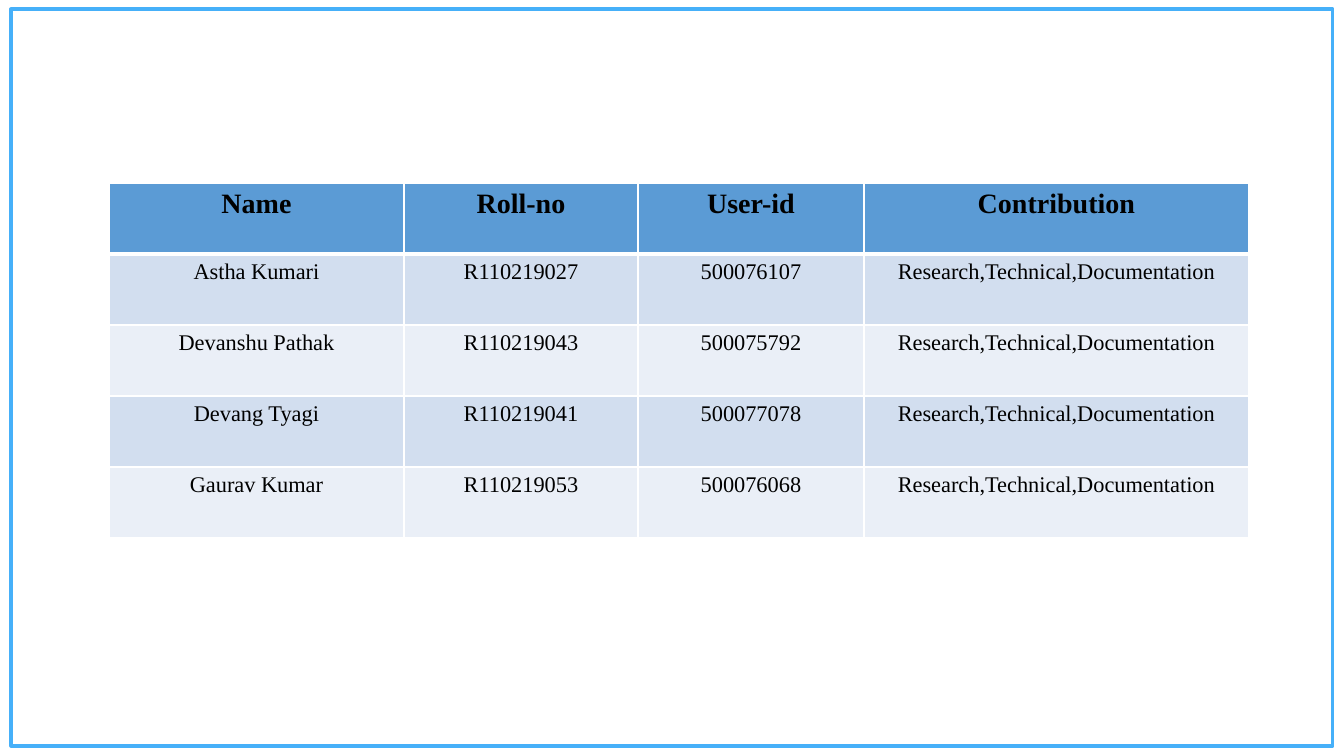
"""Build a slide with a framed table of team members and their contributions."""
import pptx
import pptx.dml.color
import pptx.enum.shapes
import pptx.enum.text
import pptx.oxml
import pptx.oxml.ns
import pptx.util

EMU_PER_PX = 914400 / 100.8
COLUMN_WIDTHS = [295, 234, 226, 385]
ROW_HEIGHT = 71
CONTRIBUTION = "Research,Technical,Documentation"
ROWS = [
    ["Name", "Roll-no", "User-id", "Contribution"],
    ["Astha Kumari", "R110219027", "500076107", CONTRIBUTION],
    ["Devanshu Pathak", "R110219043", "500075792", CONTRIBUTION],
    ["Devang Tyagi", "R110219041", "500077078", CONTRIBUTION],
    ["Gaurav Kumar", "R110219053", "500076068", CONTRIBUTION],
]
HEADER_FILL = "5B9BD5"
BAND_FILLS = ["EAEFF7", "D2DEEF"]
HEADER_FORMAT = {"size": pptx.util.Pt(20), "bold": True, "name": "Times New Roman"}
BODY_FORMAT = {"size": pptx.util.Pt(16), "bold": False, "name": "Times New Roman"}


def px(*lengths):
    return [pptx.util.Emu(round(length * EMU_PER_PX)) for length in lengths]


def color(value):
    return pptx.dml.color.RGBColor.from_string(value)


presentation = pptx.Presentation()
presentation.slide_width, presentation.slide_height = px(1344, 756)
slide = presentation.slides.add_slide(presentation.slide_layouts[6])

frame = slide.shapes.add_shape(
    pptx.enum.shapes.MSO_SHAPE.RECTANGLE, *px(11, 9, 1322, 737))
frame.shadow.inherit = False
frame.fill.background()
frame.line.color.rgb = color("46B0F9")
frame.line.width = pptx.util.Pt(2.25)

table = slide.shapes.add_table(
    len(ROWS), len(COLUMN_WIDTHS),
    *px(109, 183, sum(COLUMN_WIDTHS), ROW_HEIGHT * len(ROWS))).table
for column, width in zip(table.columns, px(*COLUMN_WIDTHS)):
    column.width = width

for row_index, texts in enumerate(ROWS):
    is_header = row_index == 0
    table.rows[row_index].height = px(ROW_HEIGHT)[0]
    border_widths = {
        "lnL": 1, "lnR": 1,
        "lnT": 3 if row_index == 1 else 1,
        "lnB": 3 if is_header else 1,
    }
    for column_index, text in enumerate(texts):
        cell = table.cell(row_index, column_index)
        properties = cell._tc.get_or_add_tcPr()
        for side, points in border_widths.items():
            properties.append(pptx.oxml.parse_xml(
                f'<a:{side} {pptx.oxml.ns.nsdecls("a")} w="{pptx.util.Pt(points)}">'
                f'<a:solidFill><a:srgbClr val="FFFFFF"/></a:solidFill></a:{side}>'))
        cell.fill.solid()
        cell.fill.fore_color.rgb = color(
            HEADER_FILL if is_header else BAND_FILLS[row_index % 2])
        paragraph = cell.text_frame.paragraphs[0]
        paragraph.alignment = pptx.enum.text.PP_ALIGN.CENTER
        run = paragraph.add_run()
        run.text = text
        run.font.color.rgb = color("000000")
        for name, value in (HEADER_FORMAT if is_header else BODY_FORMAT).items():
            setattr(run.font, name, value)

presentation.save("out.pptx")
